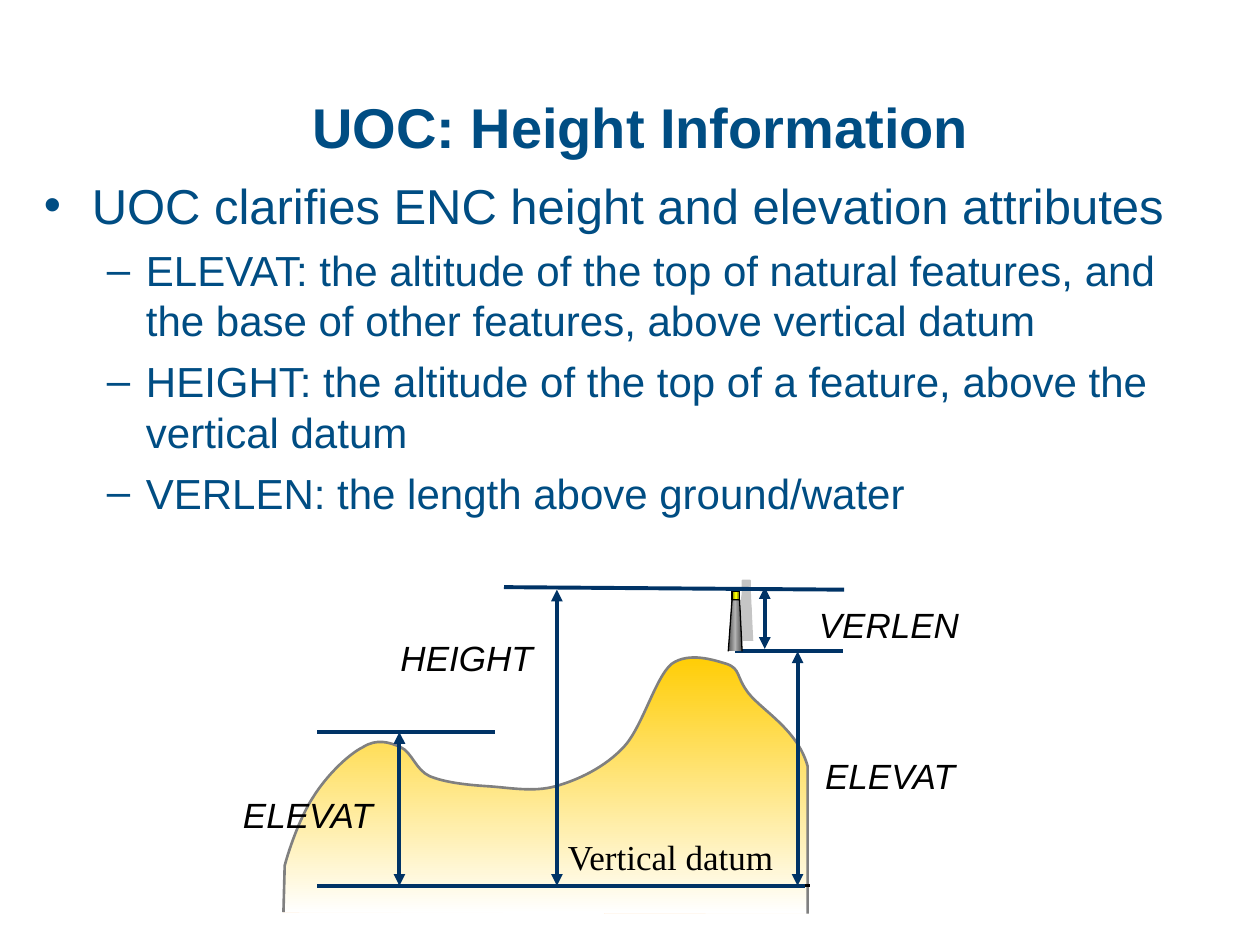
from dataclasses import dataclass

from lxml.etree import SubElement
from pptx import Presentation
from pptx.dml.color import RGBColor
from pptx.enum.shapes import MSO_CONNECTOR as CONN, MSO_SHAPE as SHAPE
from pptx.enum.text import MSO_ANCHOR as ANCHOR, MSO_AUTO_SIZE as AUTO, PP_ALIGN as ALIGN
from pptx.oxml.ns import qn
from pptx.util import Inches, Pt


@dataclass(frozen=True)
class Theme:
    text: str = "004D83"
    ink: str = "000000"
    measure: str = "003366"
    outline: str = "808080"
    shadow: str = "B2B2B2"
    land: tuple = ("FFCC00", "FFFFFF")
    tower: tuple = ("525252", "B2B2B2", "525252")
    lamp: tuple = ("757500", "FFFF00", "757500")
    font: str = "Arial"
    serif: str = "Times New Roman"
    title_size: int = 32
    body_size: int = 28
    sub_size: int = 24
    label_size: int = 20


def rgb(value):
    return RGBColor.from_string(value)


def add_text(p, text, *, size, color, font, bold=False, italic=False):
    r = p.add_run()
    r.text = text
    f = r.font
    f.size, f.name, f.bold, f.italic = Pt(size), font, bold, italic
    f.color.rgb = rgb(color)


def add_bullet(p, char, color, left, hang):
    pPr = p._p.get_or_add_pPr()
    pPr.set("marL", str(Inches(left)))
    pPr.set("indent", str(-Inches(hang)))
    clr = SubElement(pPr, qn("a:buClr"))
    SubElement(clr, qn("a:srgbClr"), val=color)
    SubElement(pPr, qn("a:buFont"), typeface="Arial")
    SubElement(pPr, qn("a:buChar"), char=char)


def bend(sp, first, last):
    """Turn each three line segments from first up to last into one cubic curve."""
    segments = list(sp._element.iter(qn("a:lnTo")))
    for i in range(first, last, 3):
        curve = segments[i].makeelement(qn("a:cubicBezTo"))
        segments[i].addprevious(curve)
        for segment in segments[i:i + 3]:
            curve.append(segment[0])
            segment.getparent().remove(segment)


class Deck:
    def __init__(self, theme):
        self.theme = theme
        self.prs = Presentation()
        self.prs.slide_width, self.prs.slide_height = Inches(10), Inches(7.5)
        self.s = self.prs.slides.add_slide(self.prs.slide_layouts[6])

    def box(self, x, y, w, h, wrap=True):
        sp = self.s.shapes.add_textbox(Inches(x), Inches(y), Inches(w), Inches(h))
        tf = sp.text_frame
        tf.word_wrap = wrap
        return tf

    def title(self, text):
        t = self.theme
        tf = self.box(0.91, 0.5, 8.35, 1)
        tf.vertical_anchor = ANCHOR.MIDDLE
        p = tf.paragraphs[0]
        p.alignment = ALIGN.CENTER
        add_text(p, text, size=t.title_size, color=t.text, font=t.font, bold=True)

    def body(self, heading, items):
        t = self.theme
        tf = self.box(0.25, 1.34, 9.55, 5.08)
        p = tf.paragraphs[0]
        add_bullet(p, "•", t.text, 0.38, 0.38)
        add_text(p, heading, size=t.body_size, color=t.text, font=t.font)
        for item in items:
            p = tf.add_paragraph()
            p.level = 1
            add_bullet(p, "–", t.text, 0.81, 0.31)
            p.space_before = Pt(6)
            add_text(p, item, size=t.sub_size, color=t.text, font=t.font)

    def label(self, text, x, y, w, font=None, italic=True):
        t = self.theme
        tf = self.box(x, y, w, 0.43, wrap=False)
        tf.auto_size = AUTO.SHAPE_TO_FIT_TEXT
        add_text(tf.paragraphs[0], text, size=t.label_size, color=t.ink,
                 font=font or t.font, italic=italic)

    def line(self, x1, y1, x2, y2, color=None, width=2.25, arrows=False):
        c = self.s.shapes.add_connector(
            CONN.STRAIGHT, Inches(x1), Inches(y1), Inches(x2), Inches(y2))
        c.line.color.rgb = rgb(color or self.theme.measure)
        c.line.width = Pt(width)
        if arrows:
            ln = c.line._get_or_add_ln()
            for end in ("a:headEnd", "a:tailEnd"):
                SubElement(ln, qn(end), type="triangle")
        SubElement(c._element.spPr, qn("a:effectLst"))

    def outline(self, points, **style):
        """Open filled outline through points given in inches."""
        start, *rest = [(Inches(x), Inches(y)) for x, y in points]
        fb = self.s.shapes.build_freeform(*start)
        fb.add_line_segments(rest, close=False)
        sp = fb.convert_to_shape()
        self.paint(sp, **style)
        return sp

    def rect(self, x, y, w, h, **style):
        sp = self.s.shapes.add_shape(
            SHAPE.RECTANGLE, Inches(x), Inches(y), Inches(w), Inches(h))
        self.paint(sp, **style)

    def paint(self, sp, colors, angle, line, width, shadow=False):
        sp.fill.gradient()
        sp.fill.gradient_angle = angle
        stops = sp._element.spPr.find(qn("a:gradFill")).find(qn("a:gsLst"))
        stops.clear()
        for i, color in enumerate(colors):
            gs = SubElement(stops, qn("a:gs"), pos=str(100000 * i // (len(colors) - 1)))
            SubElement(gs, qn("a:srgbClr"), val=color)
        sp.line.color.rgb = rgb(line)
        sp.line.width = Pt(width)
        sp.shadow.inherit = False
        if shadow:
            effects = sp._element.spPr.find(qn("a:effectLst"))
            shd = SubElement(effects, qn("a:outerShdw"), blurRad="0", dist=str(Pt(8.5)),
                             dir=str(315 * 60000), algn="ctr", rotWithShape="0")
            clr = SubElement(shd, qn("a:srgbClr"), val=self.theme.shadow)
            SubElement(clr, qn("a:alpha"), val="75000")


# Three points for each curve: two controls and the end
LAND_CURVES = [
    (6.33, 5.79), (6.05, 5.64), (5.94, 5.5),
    (5.84, 5.37), (5.88, 5.31), (5.77, 5.27),
    (5.67, 5.24), (5.47, 5.17), (5.33, 5.27),
    (5.2, 5.38), (5.1, 5.77), (4.95, 5.93),
    (4.8, 6.09), (4.59, 6.19), (4.41, 6.24),
    (4.23, 6.29), (4.04, 6.25), (3.87, 6.24),
    (3.71, 6.23), (3.53, 6.21), (3.41, 6.16),
    (3.3, 6.11), (3.27, 5.97), (3.18, 5.93),
    (3.09, 5.89), (2.99, 5.86), (2.88, 5.93),
    (2.76, 5.99), (2.59, 6.16), (2.49, 6.32),
    (2.39, 6.47), (2.3, 6.72), (2.26, 6.87),
]
DATUM, HILL, BASE, TOP = 7.03, 5.81, 5.17, 4.68


def main():
    theme = Theme()
    deck = Deck(theme)

    land = deck.outline([(6.41, 7.25), (6.41, 6.08), *LAND_CURVES, (2.25, 7.24)],
                        colors=theme.land, angle=270, line=theme.outline, width=1.5)
    bend(land, 1, 1 + len(LAND_CURVES))

    deck.title("UOC: Height Information")
    deck.body("UOC clarifies ENC height and elevation attributes", [
        "ELEVAT: the altitude of the top of natural features, and the base of other "
        "features, above vertical datum",
        "HEIGHT: the altitude of the top of a feature, above the vertical datum",
        "VERLEN: the length above ground/water",
    ])

    for text, x, y, w in [("VERLEN", 6.4, 4.74, 1.34), ("ELEVAT", 1.83, 6.25, 1.27),
                          ("ELEVAT", 6.45, 5.94, 1.27), ("HEIGHT", 3.08, 5, 1.25)]:
        deck.label(text, x, y, w)
    deck.label("Vertical datum", 4.41, 6.58, 1.86, font=theme.serif, italic=False)

    # Reference levels
    deck.line(2.52, DATUM, 6.43, DATUM, color=theme.ink, width=1.5)
    deck.line(2.52, DATUM, 6.39, DATUM)
    deck.line(6.69, BASE, 5.83, BASE)
    deck.line(2.52, HILL, 3.93, HILL)

    # Lighthouse
    deck.rect(5.81, 4.69, 0.06, 0.07, colors=theme.lamp, angle=180,
              line=theme.ink, width=1, shadow=True)
    deck.outline([(5.78, BASE), (5.81, 4.76), (5.87, 4.76), (5.89, BASE)],
                 colors=theme.tower, angle=180, line=theme.ink, width=0.75, shadow=True)

    # Measured heights
    for x, top, bottom in [(6.33, BASE, DATUM), (4.42, TOP, DATUM),
                           (3.17, HILL, DATUM), (6.07, 4.66, 5.15)]:
        deck.line(x, top, x, bottom, arrows=True)
    deck.line(4, 4.66, 6.7, TOP)

    deck.prs.save("out.pptx")


if __name__ == "__main__":
    main()
